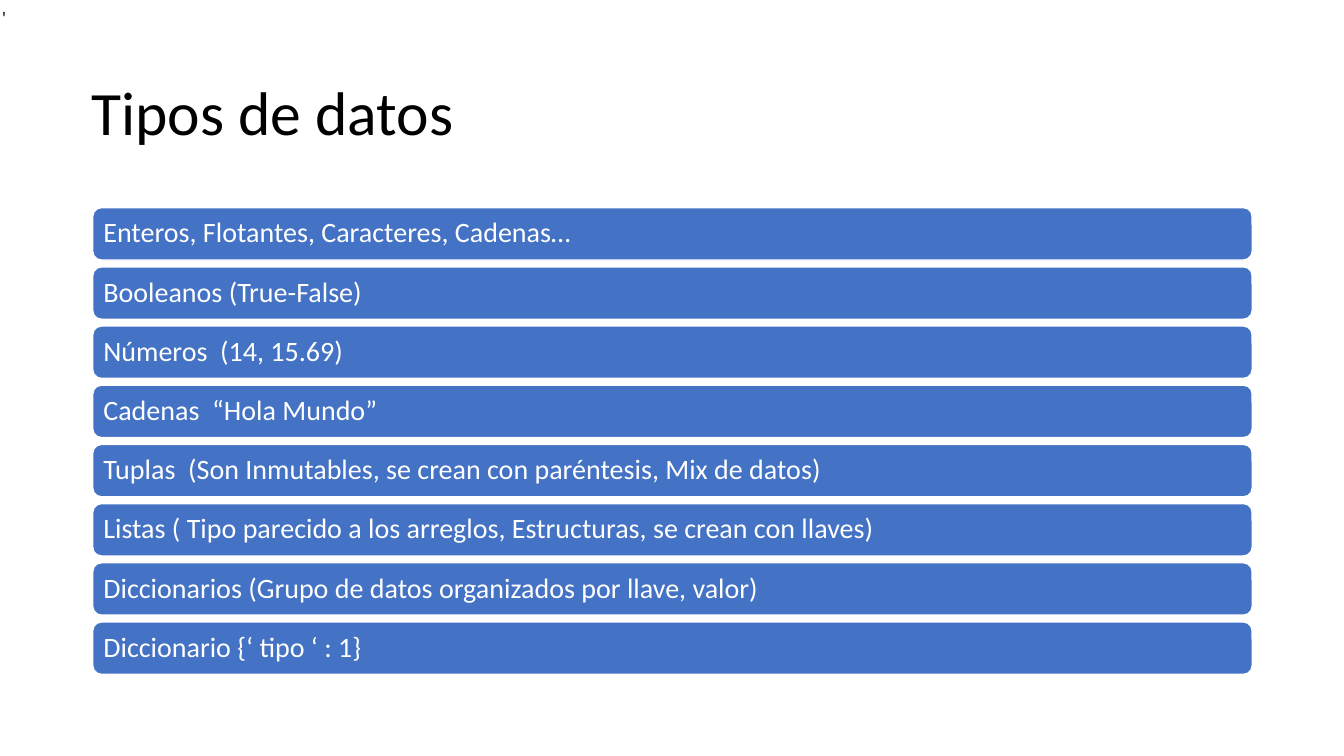
from pptx import Presentation
from pptx.dml.color import RGBColor
from pptx.enum.shapes import MSO_SHAPE
from pptx.enum.text import MSO_ANCHOR, PP_ALIGN
from pptx.util import Inches, Pt

ROUNDED = MSO_SHAPE.ROUNDED_RECTANGLE
MIDDLE = MSO_ANCHOR.MIDDLE
LEFT = PP_ALIGN.LEFT

BLACK = RGBColor(0x00, 0x00, 0x00)
WHITE = RGBColor(0xFF, 0xFF, 0xFF)
BLUE = RGBColor(0x44, 0x72, 0xC4)

SLIDE_WIDTH, SLIDE_HEIGHT = 13.33, 7.5
CONTENT_WIDTH = 11.5
BAR_LEFT, BAR_HEIGHT = 0.92, 0.52
FIRST_BAR_TOP, LAST_BAR_TOP = 2.06, 6.17

DATA_TYPES = [
    "Enteros, Flotantes, Caracteres, Cadenas…",
    "Booleanos (True-False)",
    "Números  (14, 15.69)",
    "Cadenas  “Hola Mundo”",
    "Tuplas  (Son Inmutables, se crean con paréntesis, Mix de datos)",
    "Listas ( Tipo parecido a los arreglos, Estructuras, se crean con llaves)",
    "Diccionarios (Grupo de datos organizados por llave, valor)",
    "Diccionario {‘ tipo ‘ : 1}",
]


def set_attributes(target, values):
    for name, value in values.items():
        setattr(target, name, value)


def write_text(box, text, size, color, inset, font="Calibri", spacing=0.9):
    frame = box.text_frame
    margin = Inches(inset)
    set_attributes(frame, {
        "word_wrap": True,
        "vertical_anchor": MIDDLE,
        "margin_left": margin,
        "margin_top": margin,
        "margin_right": margin,
        "margin_bottom": margin,
    })
    para = frame.paragraphs[0]
    set_attributes(para, {"alignment": LEFT, "line_spacing": spacing})
    span = para.add_run()
    span.text = text
    set_attributes(span.font, {"name": font, "size": Pt(size)})
    span.font.color.rgb = color


def add_label(page, area, text, size, inset, **style):
    box = page.shapes.add_textbox(*map(Inches, area))
    write_text(box, text, size, BLACK, inset, **style)


def add_bar(page, top, text):
    area = (BAR_LEFT, top, CONTENT_WIDTH, BAR_HEIGHT)
    bar = page.shapes.add_shape(ROUNDED, *map(Inches, area))
    bar.shadow.inherit = False
    bar.fill.solid()
    bar.fill.fore_color.rgb = BLUE
    bar.line.color.rgb = WHITE
    bar.line.width = Pt(1)
    write_text(bar, text, 20, WHITE, 0.08)


def main():
    deck = Presentation()
    set_attributes(deck, {
        "slide_width": Inches(SLIDE_WIDTH),
        "slide_height": Inches(SLIDE_HEIGHT),
    })
    page = deck.slides.add_slide(deck.slide_layouts[6])
    add_label(page, (0.81, 0.42, CONTENT_WIDTH, 1.45), "Tipos de datos", 44, 0.1)
    pitch = (LAST_BAR_TOP - FIRST_BAR_TOP) / (len(DATA_TYPES) - 1)
    for row, text in enumerate(DATA_TYPES):
        add_bar(page, FIRST_BAR_TOP + row * pitch, text)
    add_label(page, (0, 0, SLIDE_WIDTH, 0.34), "'", 10, 0,
              font="Courier New", spacing=1.0)
    deck.save("out.pptx")


if __name__ == "__main__":
    main()
